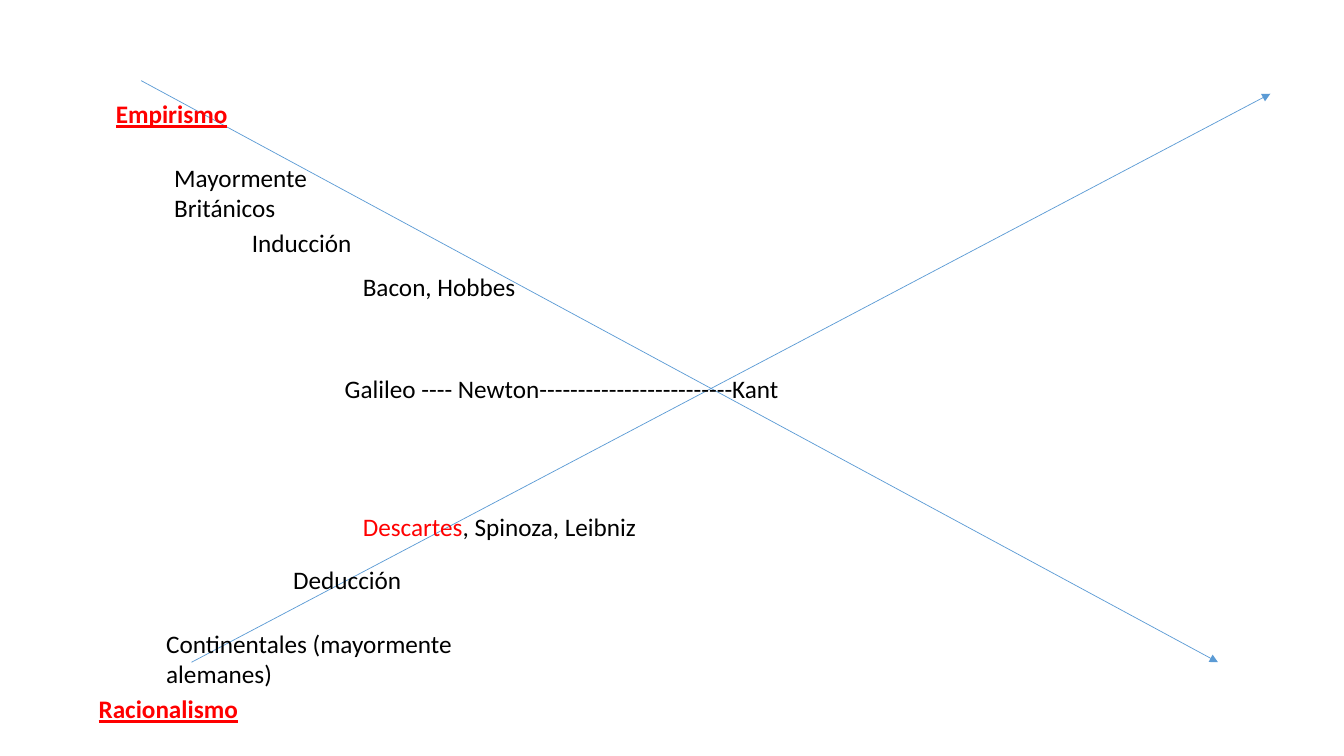
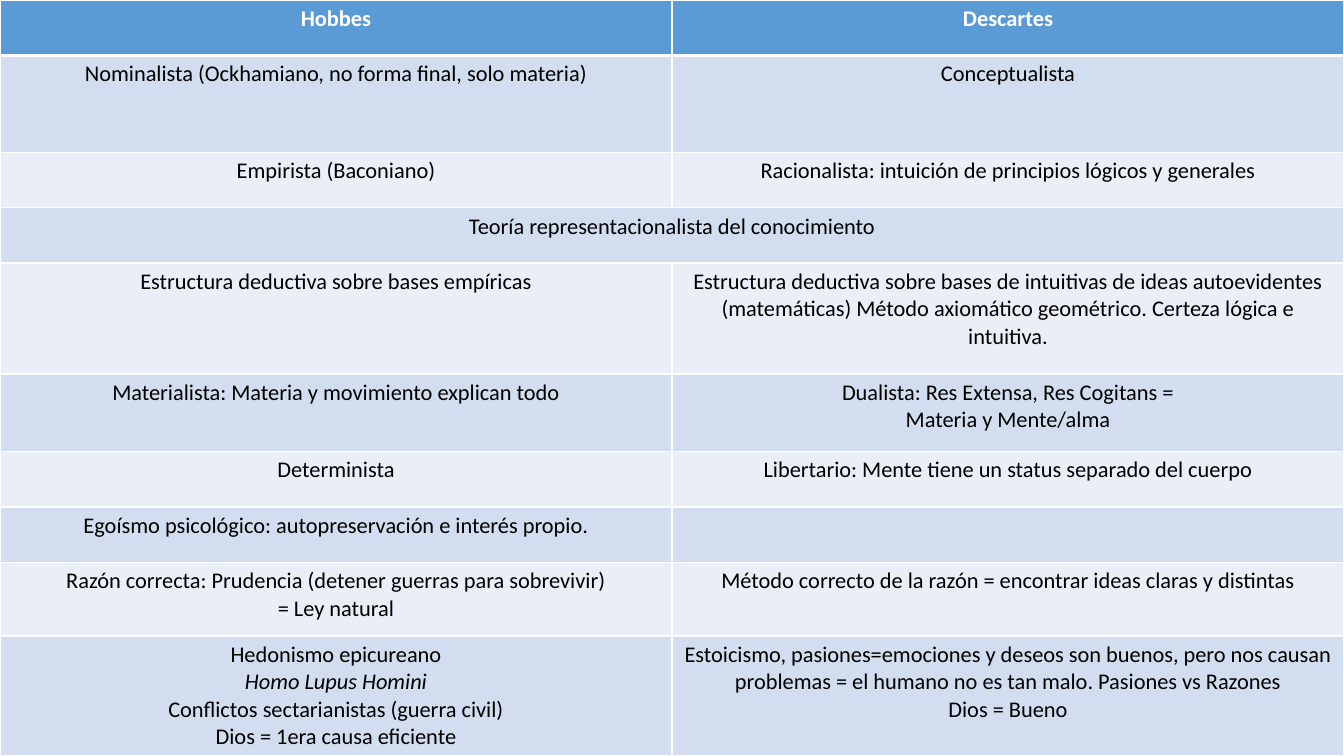
import pptx
import pptx.util
import pptx.dml.color
import pptx.enum.shapes
import pptx.enum.text
import pptx.oxml
import pptx.oxml.ns
import lxml.etree

RGB = pptx.dml.color.RGBColor
BLUE = RGB(0x5B, 0x9B, 0xD5)
PALE = RGB(0xD2, 0xDE, 0xEF)
MIST = RGB(0xEA, 0xEF, 0xF7)
WHITE = RGB(0xFF, 0xFF, 0xFF)
BLACK = RGB(0, 0, 0)
RED = RGB(0xFF, 0, 0)
PX = 9144
WIDE, HIGH = 1333, 750

BASE = {"name": "Calibri", "size": pptx.util.Pt(18)}
PLAIN = {**BASE, "color": BLACK}
KEY = {**BASE, "color": RED}
HEAD = {**KEY, "bold": True, "underline": True}
CELL = {**PLAIN, "size": pptx.util.Pt(16), "bold": False}
TOP = {**CELL, "color": WHITE, "bold": True}
SLANT = {**CELL, "italic": True}

ARROWS = [(140, 80, 1208, 657), (190, 657, 1260, 93)]
LABELS = [
    (105, 93, 192, 40, [("Empirismo", HEAD)]),
    (88, 683, 192, 40, [("Racionalismo", HEAD)]),
    (163, 156, 170, 71, [("Mayormente Británicos", PLAIN)]),
    (155, 618, 390, 71, [("Continentales (mayormente alemanes)", PLAIN)]),
    (240, 221, 434, 40, [("Inducción", PLAIN)]),
    (281, 555, 434, 71, [("Deducción", PLAIN)]),
    (350, 264, 434, 40, [("Bacon, Hobbes", PLAIN)]),
    (350, 502, 434, 40, [("Descartes", KEY), (", Spinoza, Leibniz", PLAIN)]),
    (332, 365, 589, 40,
     [("Galileo ---- Newton-------------------------Kant", PLAIN)]),
]

LATIN = "Homo Lupus Homini"
ROWS = [
    (55, ["Hobbes"], ["Descartes"]),
    (96, ["Nominalista (Ockhamiano, no forma final, solo materia)"],
     ["Conceptualista"]),
    (55, ["Empirista (Baconiano)"],
     ["Racionalista: intuición de principios lógicos y generales"]),
    (55, ["Teoría representacionalista del conocimiento"], None),
    (110, ["Estructura deductiva sobre bases empíricas"],
     ["Estructura deductiva sobre bases de intuitivas de ideas "
      "autoevidentes (matemáticas) Método axiomático geométrico. "
      "Certeza lógica e intuitiva."]),
    (77, ["Materialista: Materia y movimiento explican todo"],
     ["Dualista: Res Extensa, Res Cogitans =", "Materia y Mente/alma"]),
    (55, ["Determinista"],
     ["Libertario: Mente tiene un status separado del cuerpo"]),
    (55, ["Egoísmo psicológico: autopreservación e interés propio."], []),
    (73, ["Razón correcta: Prudencia (detener guerras para sobrevivir)",
          "= Ley natural"],
     ["Método correcto de la razón = encontrar ideas claras y distintas"]),
    (119, ["Hedonismo epicureano", LATIN,
           "Conflictos sectarianistas (guerra civil)",
           "Dios = 1era causa eficiente"],
     ["Estoicismo, pasiones=emociones y deseos son buenos, pero nos causan "
      "problemas = el humano no es tan malo. Pasiones vs Razones",
      "Dios = Bueno"]),
]


def scale(*sizes):
    return [size * PX for size in sizes]


def write(para, text, style):
    run = para.add_run()
    run.text = text
    for key, value in style.items():
        if key == "color":
            run.font.color.rgb = value
        else:
            setattr(run.font, key, value)


def arrow(slide, ends):
    kind = pptx.enum.shapes.MSO_CONNECTOR.STRAIGHT
    line = slide.shapes.add_connector(kind, *scale(*ends))
    line.line.color.rgb = BLUE
    line.line.width = pptx.util.Pt(0.5)
    tip = lxml.etree.SubElement(line.line._get_or_add_ln(),
                                pptx.oxml.ns.qn("a:tailEnd"))
    tip.set("type", "triangle")
    lxml.etree.SubElement(line._element.spPr, pptx.oxml.ns.qn("a:effectLst"))


def label(slide, left, top, width, height, runs):
    box = slide.shapes.add_textbox(*scale(left, top, width, height))
    frame = box.text_frame
    frame.word_wrap = True
    frame.auto_size = pptx.enum.text.MSO_AUTO_SIZE.SHAPE_TO_FIT_TEXT
    for text, style in runs:
        write(frame.paragraphs[0], text, style)


def border(cell, sides):
    props = cell._tc.get_or_add_tcPr()
    for side, width in sides.items():
        props.append(pptx.oxml.parse_xml(
            f'<a:ln{side} {pptx.oxml.ns.nsdecls("a")} '
            f'w="{pptx.util.Pt(width)}"><a:solidFill>'
            f'<a:srgbClr val="{WHITE}"/></a:solidFill></a:ln{side}>'))


def fill(cell, lines, row):
    border(cell, {"L": 1, "R": 1, "T": 3 if row == 1 else 1,
                  "B": 1 if row else 3})
    cell.fill.solid()
    cell.fill.fore_color.rgb = (PALE if row % 2 else MIST) if row else BLUE
    frame = cell.text_frame
    for num, text in enumerate(lines):
        para = frame.add_paragraph() if num else frame.paragraphs[0]
        para.alignment = pptx.enum.text.PP_ALIGN.CENTER
        style = SLANT if text == LATIN else CELL if row else TOP
        write(para, text, style)


def compare(slide):
    frame = slide.shapes.add_table(len(ROWS), 2, *scale(0, 0, WIDE, HIGH))
    table = frame.table
    for col in table.columns:
        col.width = WIDE * PX // 2
    for row, (height, *texts) in enumerate(ROWS):
        table.rows[row].height = height * PX
        for col, lines in enumerate(texts):
            fill(table.cell(row, col), lines or [], row)
        if texts[1] is None:
            table.cell(row, 0).merge(table.cell(row, 1))


def main():
    deck = pptx.Presentation()
    deck.slide_width, deck.slide_height = scale(WIDE, HIGH)
    blank = deck.slide_layouts[6]
    cross = deck.slides.add_slide(blank)
    for ends in ARROWS:
        arrow(cross, ends)
    for item in LABELS:
        label(cross, *item)
    compare(deck.slides.add_slide(blank))
    deck.save("out.pptx")


if __name__ == "__main__":
    main()
